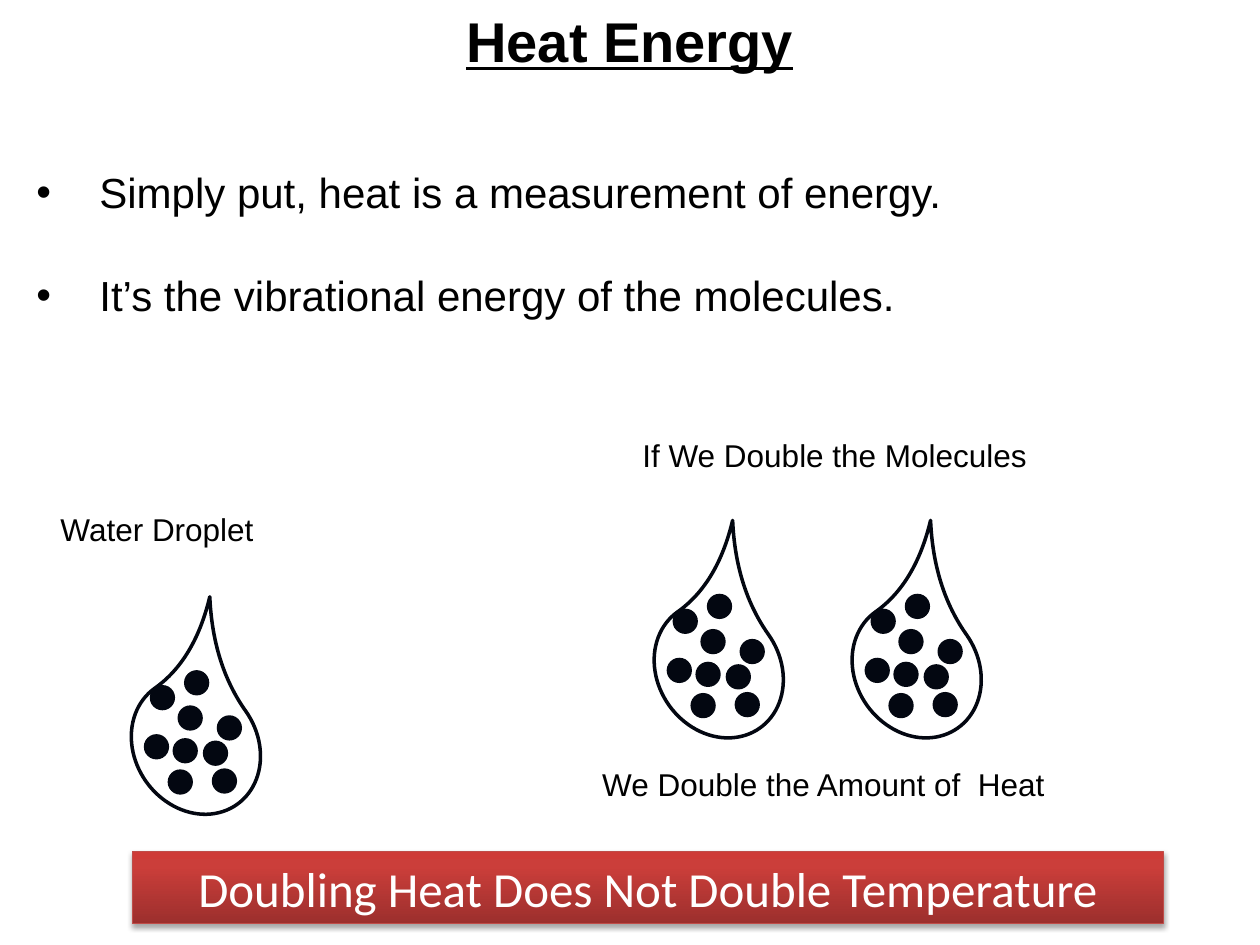
from copy import deepcopy

from lxml.etree import SubElement
from pptx import Presentation
from pptx.dml.color import RGBColor
from pptx.enum.shapes import MSO_SHAPE
from pptx.enum.text import MSO_ANCHOR, MSO_AUTO_SIZE, PP_ALIGN
from pptx.oxml.ns import qn
from pptx.util import Cm, Pt

COLOURS = {
    "text": "000000",
    "ink": "030711",
    "banner_text": "FFFFFF",
    "banner_line": "BF4C48",
    "banner_bottom": "9C2F2D",
    "banner_middle": "CB3E3A",
    "banner_top": "CE3B37",
    "shadow": "000000",
}
DROP_SIZE = (2.46, 2.87)
MOLECULE = 0.51
MOLECULE_OFFSETS = [
    (0.99, -0.1), (0.3, 0.2), (0.86, 0.61), (1.65, 0.81), (0.18, 1.19),
    (0.76, 1.27), (1.37, 1.32), (1.55, 1.88), (0.66, 1.9),
]
DROPS = [(2.72, 13.61), (13.26, 12.07), (17.25, 12.07)]
LABELS = [
    ("Water Droplet", (0.97, 10.16, 7.11, 1.27)),
    ("If We Double the Molecules", (12.7, 8.66, 10.16, 1.27)),
    ("We Double the Amount of  Heat", (11.89, 15.29, 11.56, 1.27)),
]
FACTS = [
    "Simply put, heat is a measurement of energy.",
    "It’s the vibrational energy of the molecules.",
]


def colour(key):
    """Return the named colour."""
    return RGBColor.from_string(COLOURS[key])


def place(part, box):
    """Move a part to a box given in centimetres."""
    part.left, part.top, part.width, part.height = (Cm(length) for length in box)


def write(paragraph, text, size, font="Arial", key="text"):
    """Add one formatted run and return it."""
    run = paragraph.add_run()
    run.text = text
    run.font.name, run.font.size = font, Pt(size)
    run.font.color.rgb = colour(key)
    return run


def set_frame(frame, anchor):
    """Wrap a text frame, fix its size and anchor its text."""
    frame.word_wrap = True
    frame.auto_size = MSO_AUTO_SIZE.NONE
    frame.vertical_anchor = anchor


def add_heading(slide, box):
    """Fill the title placeholder."""
    heading = slide.shapes.title
    place(heading, box)
    set_frame(heading.text_frame, MSO_ANCHOR.MIDDLE)
    paragraph = heading.text_frame.paragraphs[0]
    paragraph.alignment = PP_ALIGN.CENTER
    run = write(paragraph, "Heat Energy", 32)
    run.font.bold = run.font.underline = True


def add_facts(slide, box):
    """Fill the body placeholder with the bulleted facts."""
    facts = slide.placeholders[1]
    place(facts, box)
    frame = facts.text_frame
    set_frame(frame, MSO_ANCHOR.TOP)
    for index, fact in enumerate(FACTS):
        paragraph = frame.add_paragraph() if index else frame.paragraphs[0]
        paragraph.space_before = Pt(30 if index else 0)
        properties = paragraph._p.get_or_add_pPr()
        properties.set("marL", str(Cm(1.27)))
        properties.set("indent", str(-Cm(1.27)))
        write(paragraph, fact, 24)


def add_label(slide, text, box):
    """Add a caption for the droplets."""
    label = slide.shapes.add_textbox(*(Cm(length) for length in box))
    set_frame(label.text_frame, MSO_ANCHOR.TOP)
    write(label.text_frame.paragraphs[0], text, 18)


def add_drop(slide, left, top):
    """Add a water droplet with its molecules."""
    for x, y in MOLECULE_OFFSETS:
        molecule = slide.shapes.add_shape(
            MSO_SHAPE.OVAL, Cm(left + x), Cm(top + y), Cm(MOLECULE), Cm(MOLECULE))
        molecule.shadow.inherit = False
        molecule.fill.solid()
        molecule.fill.fore_color.rgb = colour("ink")
        molecule.line.fill.background()
    width, height = DROP_SIZE
    outline = slide.shapes.add_shape(
        MSO_SHAPE.TEAR, Cm(left), Cm(top), Cm(width), Cm(height))
    outline.adjustments[0] = 1.602
    outline.rotation = 324.7
    outline.shadow.inherit = False
    outline.fill.background()
    outline.line.color.rgb = colour("ink")
    outline.line.width = Pt(2)


def add_banner(slide, box):
    """Add the shaded conclusion bar."""
    banner = slide.shapes.add_shape(
        MSO_SHAPE.RECTANGLE, *(Cm(length) for length in box))
    banner.line.color.rgb = colour("banner_line")
    banner.line.width = Pt(0.75)
    banner.fill.gradient()
    banner.fill.gradient_angle = 90
    properties = banner._element.spPr
    stop_list = properties.find(".//" + qn("a:gsLst"))
    stop_list.insert(1, deepcopy(stop_list[0]))
    stops = [(0, "banner_bottom"), (0.8, "banner_middle"), (1, "banner_top")]
    for stop, (position, key) in zip(banner.fill.gradient_stops, stops):
        stop.position = position
        stop.color.rgb = colour(key)
    banner.shadow.inherit = False
    shadow = SubElement(
        properties.find(qn("a:effectLst")), qn("a:outerShdw"),
        blurRad=str(Pt(3.1)), dist=str(Pt(1.8)), dir="5400000", rotWithShape="0")
    tone = SubElement(shadow, qn("a:srgbClr"), val=COLOURS["shadow"])
    SubElement(tone, qn("a:alpha"), val="35000")
    set_frame(banner.text_frame, MSO_ANCHOR.MIDDLE)
    paragraph = banner.text_frame.paragraphs[0]
    paragraph.alignment = PP_ALIGN.CENTER
    write(paragraph, "Doubling Heat Does Not Double Temperature", 28,
          "Calibri", "banner_text")


def main():
    """Build and save the slide."""
    deck = Presentation()
    deck.slide_width, deck.slide_height = Cm(25.4), Cm(19.05)
    slide = deck.slides.add_slide(deck.slide_layouts[1])
    add_heading(slide, (0, 0, 25.4, 1.63))
    add_facts(slide, (0.48, 3.23, 24.51, 3.33))
    for left, top in DROPS:
        add_drop(slide, left, top)
    for text, box in LABELS:
        add_label(slide, text, box)
    add_banner(slide, (2.67, 17.17, 20.78, 1.45))
    deck.save("out.pptx")


if __name__ == "__main__":
    main()
